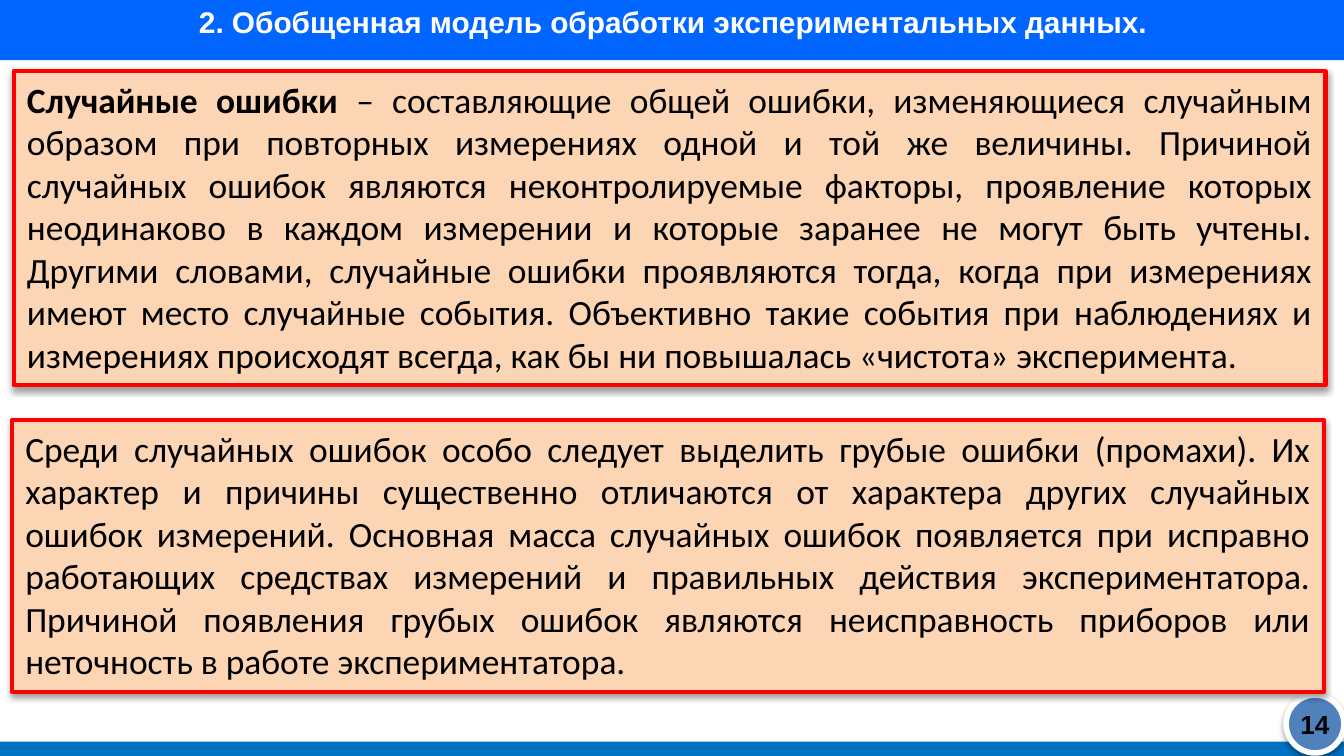
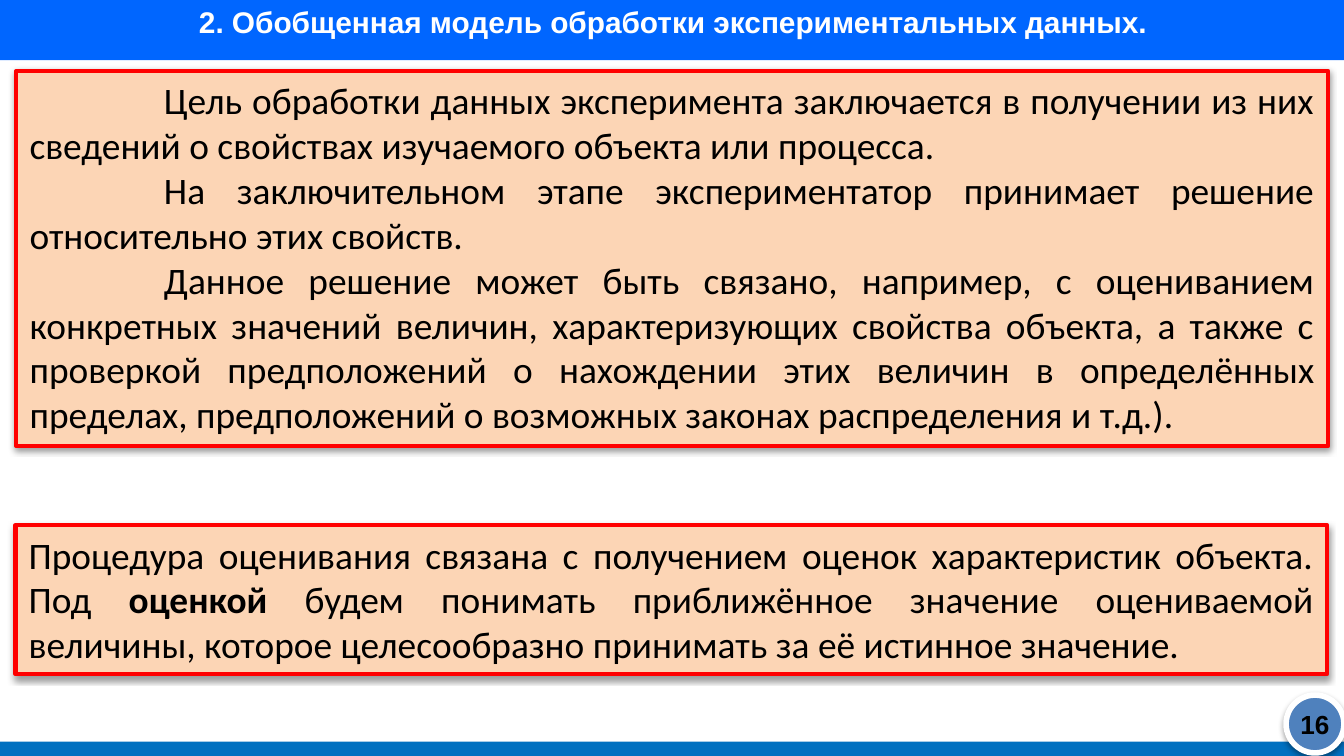
from lxml.etree import SubElement
from pptx import Presentation
from pptx.dml.color import RGBColor
from pptx.enum.shapes import MSO_SHAPE as Preset
from pptx.enum.text import MSO_ANCHOR as Anchor, MSO_AUTO_SIZE as AutoSize, PP_ALIGN as Align
from pptx.oxml.ns import qn
from pptx.util import Pt

WIDTH, HEIGHT = 720, 405
BAND, FOOTER, BADGE = "0066FF", "0070C0", "4F81BD"
PANEL, FRAME = "FCD5B5", "FF0000"
WHITE, BLACK = "FFFFFF", "000000"
PANEL_WIDTH = 702.7
TITLE = "2. Обобщенная модель обработки экспериментальных данных."

RANDOM_ERRORS = [[
    ("Случайные ошибки ", True),
    ("– составляющие общей ошибки, изменяющиеся случайным образом при повторных "
     "измерениях одной и той же величины. Причиной случайных ошибок являются "
     "неконтролируемые факторы, проявление которых неодинаково в каждом измерении "
     "и которые заранее не могут быть учтены. Другими словами, случайные ошибки "
     "проявляются тогда, когда при измерениях имеют место случайные события. "
     "Объективно такие события при наблюдениях и измерениях происходят всегда, "
     "как бы ни повышалась «чистота» эксперимента.", False),
]]
GROSS_ERRORS = [[
    ("Среди случайных ошибок особо следует выделить грубые ошибки (промахи). Их "
     "характер и причины существенно отличаются от характера других случайных "
     "ошибок измерений. Основная масса случайных ошибок появляется при исправно "
     "работающих средствах измерений и правильных действия экспериментатора. "
     "Причиной появления грубых ошибок являются неисправность приборов или "
     "неточность в работе экспериментатора.", False),
]]
ESTIMATION = [[
    ("Процедура оценивания связана с получением оценок характеристик объекта. Под ", False),
    ("оценкой", True),
    (" будем понимать приближённое значение оцениваемой величины, которое "
     "целесообразно принимать за её истинное значение.", False),
]]
PROCESSING_GOAL = [
    [("Цель обработки данных эксперимента заключается в получении из них сведений "
      "о свойствах изучаемого объекта или процесса.", False)],
    [("На заключительном этапе экспериментатор принимает решение относительно "
      "этих свойств.", False)],
    [("Данное решение может быть связано, например, с оцениванием конкретных "
      "значений величин, характеризующих свойства объекта, а также с проверкой "
      "предположений о нахождении этих величин в определённых пределах, "
      "предположений о возможных законах распределения и т.д.).", False)],
]


def color(hex_text):
    """Turn a hex string into a colour."""
    return RGBColor.from_string(hex_text)


def write(shape, paragraphs, size, font="Calibri", ink=BLACK, align=Align.JUSTIFY,
          anchor=Anchor.TOP, fit=AutoSize.NONE, indent=0):
    """Fill a shape with paragraphs of (text, bold) runs."""
    frame = shape.text_frame
    frame.word_wrap = True
    frame.auto_size = fit
    frame.vertical_anchor = anchor
    for index, runs in enumerate(paragraphs):
        paragraph = frame.add_paragraph() if index else frame.paragraphs[0]
        paragraph.alignment = align
        if indent:
            paragraph._p.get_or_add_pPr().set("indent", str(Pt(indent)))
        for text, bold in runs:
            run = paragraph.add_run()
            run.text = text
            run.font.size = Pt(size)
            run.font.name = font
            run.font.bold = bold
            run.font.color.rgb = color(ink)


def place(shape, left, top, width, height):
    """Set position and size in points."""
    shape.left, shape.top = Pt(left), Pt(top)
    shape.width, shape.height = Pt(width), Pt(height)


def add_block(slide, preset, box, fill, line=None, line_width=0):
    """Add a flat preset shape with an optional outline."""
    block = slide.shapes.add_shape(preset, *map(Pt, box))
    block.shadow.inherit = False
    block.fill.solid()
    block.fill.fore_color.rgb = color(fill)
    if line:
        block.line.color.rgb = color(line)
        block.line.width = Pt(line_width)
    else:
        block.line.fill.background()
    return block


def add_shadow(shape):
    """Give a shape a soft shadow below it."""
    effects = shape.element.spPr.find(qn("a:effectLst"))
    shadow = SubElement(effects, qn("a:outerShdw"), blurRad=str(Pt(3.15)),
                        dist=str(Pt(1.57)), dir="5400000", rotWithShape="0")
    tint = SubElement(shadow, qn("a:srgbClr"), val=BLACK)
    SubElement(tint, qn("a:alpha"), val="38000")


def add_panel(slide, left, top, height, paragraphs, size, indent=0):
    """Add a framed panel of justified text."""
    panel = add_block(slide, Preset.RECTANGLE, (left, top, PANEL_WIDTH, height),
                      PANEL, FRAME, 2.25)
    add_shadow(panel)
    write(panel, paragraphs, size, fit=AutoSize.SHAPE_TO_FIT_TEXT, indent=indent)


def add_page(deck, number):
    """Add a slide with title band, footer and number badge."""
    slide = deck.slides.add_slide(deck.slide_layouts.get_by_name("Title Only"))
    title = slide.shapes.title
    band = add_block(slide, Preset.RECTANGLE, (0, 0, WIDTH, 32.3), BAND)
    title.element.addprevious(band.element)
    place(title, 55.4, -1.4, 610.6, 33.8)
    write(title, [[(TITLE, True)]], 16, font="Arial", ink=WHITE, align=Align.CENTER)
    add_block(slide, Preset.RECTANGLE, (0, 397.4, WIDTH, HEIGHT - 397.4), FOOTER)
    badge = add_block(slide, Preset.OVAL, (689, 372.4, 31, 31), BADGE, WHITE, 3)
    add_shadow(badge)
    label = slide.shapes.add_textbox(Pt(689), Pt(377.3), Pt(31), Pt(21.6))
    label.text_frame.margin_left = label.text_frame.margin_right = 0
    write(label, [[(str(number), True)]], 14, font="Arial", align=Align.CENTER,
          anchor=Anchor.MIDDLE)
    return slide


def main():
    """Build and save the deck."""
    deck = Presentation()
    deck.slide_width, deck.slide_height = Pt(WIDTH), Pt(HEIGHT)

    errors = add_page(deck, 14)
    add_panel(errors, 7.4, 38, 168.4, RANDOM_ERRORS, 19)
    add_panel(errors, 6.5, 225, 145.6, GROSS_ERRORS, 19)

    goal = add_page(deck, 16)
    add_panel(goal, 8.3, 281.3, 79.9, ESTIMATION, 20)
    add_panel(goal, 8.8, 38, 201, PROCESSING_GOAL, 20, indent=72)

    deck.save("out.pptx")


main()
